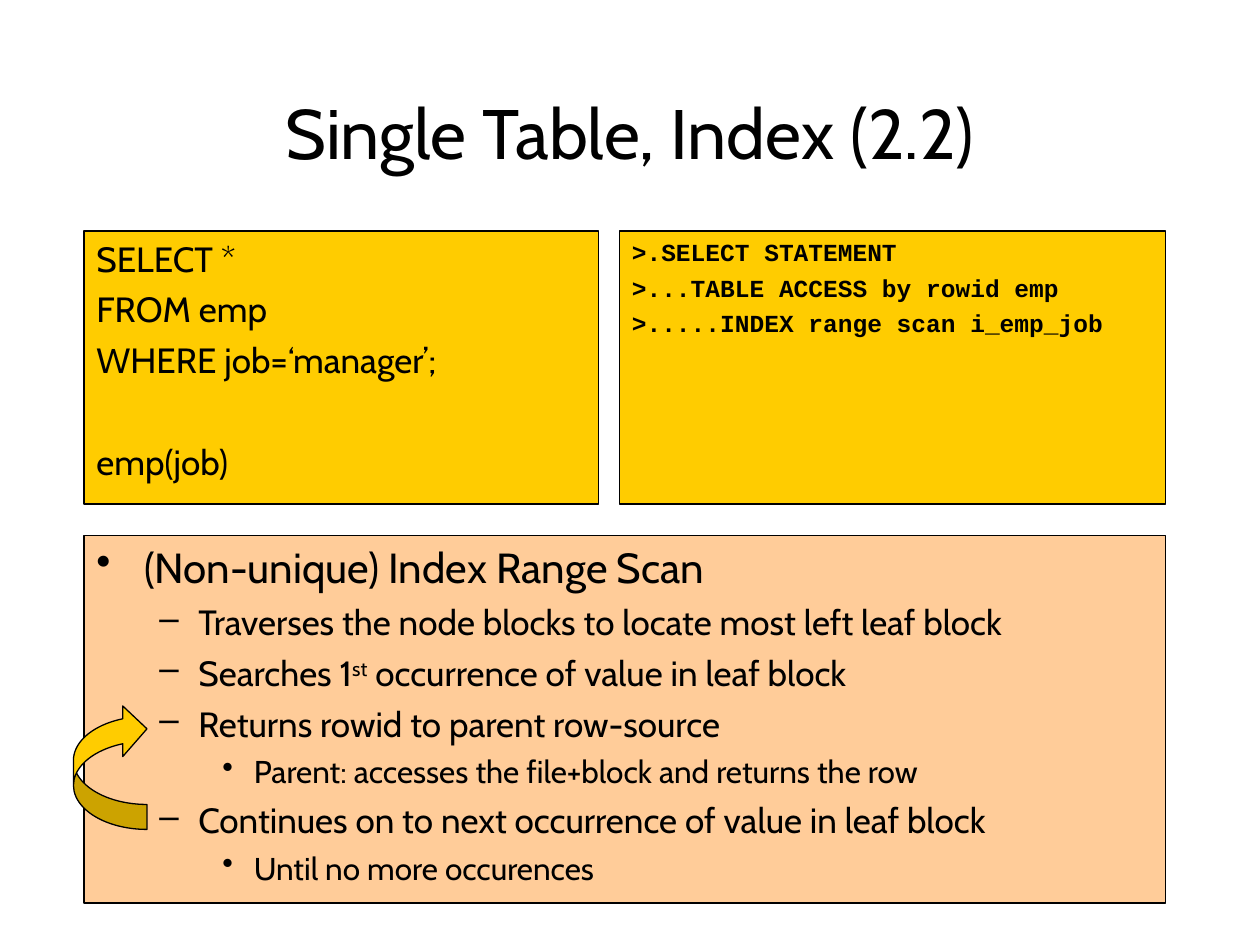
import pptx
import pptx.util
import pptx.dml.color
import pptx.enum.shapes
import pptx.enum.text
import pptx.oxml.ns
import lxml.etree

COLORS = {"ink": "000000", "gold": "FFCC00", "peach": "FFCC99"}
COLUMNS, ROWS = 120, 90
BULLETS = [
    {"symbol": "•", "size": 24, "before": 6, "left": 0.38, "hang": 0.38},
    {"symbol": "–", "size": 20, "before": 5, "left": 0.81, "hang": 0.31},
    {"symbol": "•", "size": 18, "before": 4.5, "left": 1.25, "hang": 0.25},
]


class SlideBuilder:
    font = "Cabin"
    code_font = "Courier New"
    line_width = 0.75

    def __init__(self, deck):
        self.slide = deck.slides.add_slide(deck.slide_layouts[6])
        self.column = deck.slide_width / COLUMNS
        self.row = deck.slide_height / ROWS

    def color(self, name):
        return pptx.dml.color.RGBColor.from_string(COLORS[name])

    def place(self, left, top, width, height):
        return (round(left * self.column), round(top * self.row),
                round(width * self.column), round(height * self.row))

    def shape(self, kind, area, fill):
        shape = self.slide.shapes.add_shape(kind, *self.place(*area))
        shape.shadow.inherit = False
        shape.fill.solid()
        shape.fill.fore_color.rgb = self.color(fill)
        shape.line.color.rgb = self.color("ink")
        shape.line.width = pptx.util.Pt(self.line_width)
        return shape

    def panel(self, area, fill):
        box = self.shape(pptx.enum.shapes.MSO_SHAPE.RECTANGLE, area, fill)
        box.text_frame.word_wrap = True
        box.text_frame.vertical_anchor = pptx.enum.text.MSO_ANCHOR.TOP
        return box.text_frame

    def paragraph(self, frame, first, before):
        para = frame.paragraphs[0] if first else frame.add_paragraph()
        para.alignment = pptx.enum.text.PP_ALIGN.LEFT
        para.space_before = pptx.util.Pt(0 if first else before)
        return para

    def span(self, para, text, size, font=None, bold=False, raised=False):
        span = para.add_run()
        span.text = text
        span.font.name = font or self.font
        span.font.size = pptx.util.Pt(size)
        span.font.bold = bold
        span.font.color.rgb = self.color("ink")
        if raised:
            span.font._element.set("baseline", "30000")

    def title(self, area, text):
        frame = self.slide.shapes.add_textbox(*self.place(*area)).text_frame
        frame.word_wrap = True
        frame.vertical_anchor = pptx.enum.text.MSO_ANCHOR.MIDDLE
        para = frame.paragraphs[0]
        para.alignment = pptx.enum.text.PP_ALIGN.CENTER
        self.span(para, text, 40)

    def listing(self, area, lines, size, font=None, bold=False):
        frame = self.panel(area, "gold")
        for index, (text, before) in enumerate(lines):
            para = self.paragraph(frame, index == 0, before)
            self.span(para, text, size, font, bold)

    def bullets(self, area, items):
        frame = self.panel(area, "peach")
        for index, (level, *texts) in enumerate(items):
            style = BULLETS[level]
            para = self.paragraph(frame, index == 0, style["before"])
            para.level = level
            properties = para._p.get_or_add_pPr()
            properties.set("marL", str(pptx.util.Inches(style["left"])))
            properties.set("indent", str(-pptx.util.Inches(style["hang"])))
            bullet = lxml.etree.SubElement(properties, pptx.oxml.ns.qn("a:buChar"))
            bullet.set("char", style["symbol"])
            for position, text in enumerate(texts):
                self.span(para, text, style["size"], raised=position == 1)

    def loop_arrow(self, area):
        arrow = self.shape(pptx.enum.shapes.MSO_SHAPE.CURVED_RIGHT_ARROW, area, "gold")
        for index, share in enumerate((0.34, 0.69, 0.33)):
            arrow.adjustments[index] = share
        arrow._element.spPr.xfrm.set("flipV", "1")


def main():
    deck = pptx.Presentation()
    deck.slide_width = pptx.util.Inches(10)
    deck.slide_height = pptx.util.Inches(7.5)
    page = SlideBuilder(deck)
    page.title((9, 8, 102, 9), "Single Table, Index (2.2)")
    page.bullets((8, 51, 103, 35), [
        (0, "(Non-unique) Index Range Scan"),
        (1, "Traverses the node blocks to locate most left leaf block"),
        (1, "Searches 1", "st", " occurrence of value in leaf block"),
        (1, "Returns rowid to parent row-source"),
        (2, "Parent: accesses the file+block and returns the row"),
        (1, "Continues on to next occurrence of value in leaf block"),
        (2, "Until no more occurences"),
    ])
    page.listing((59, 22, 52, 26), [
        (">.SELECT STATEMENT", 0),
        (">...TABLE ACCESS by rowid emp", 3.5),
        (">.....INDEX range scan i_emp_job", 3.5),
    ], 14, page.code_font, True)
    page.listing((8, 22, 49, 26), [
        ("SELECT *", 0),
        ("FROM emp", 5),
        ("WHERE job=‘manager’;", 5),
        ("emp(job)", 34),
    ], 20)
    page.loop_arrow((7, 67, 7, 12))
    deck.save("out.pptx")


if __name__ == "__main__":
    main()
